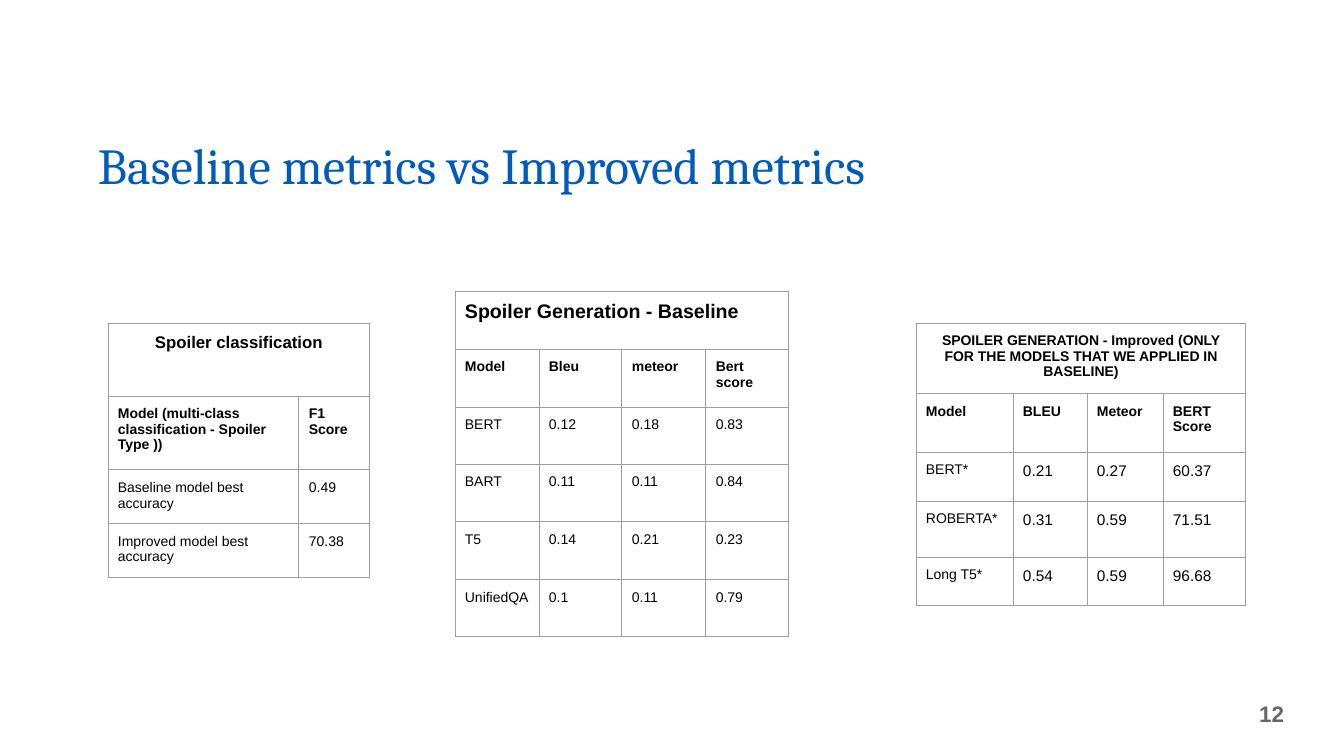
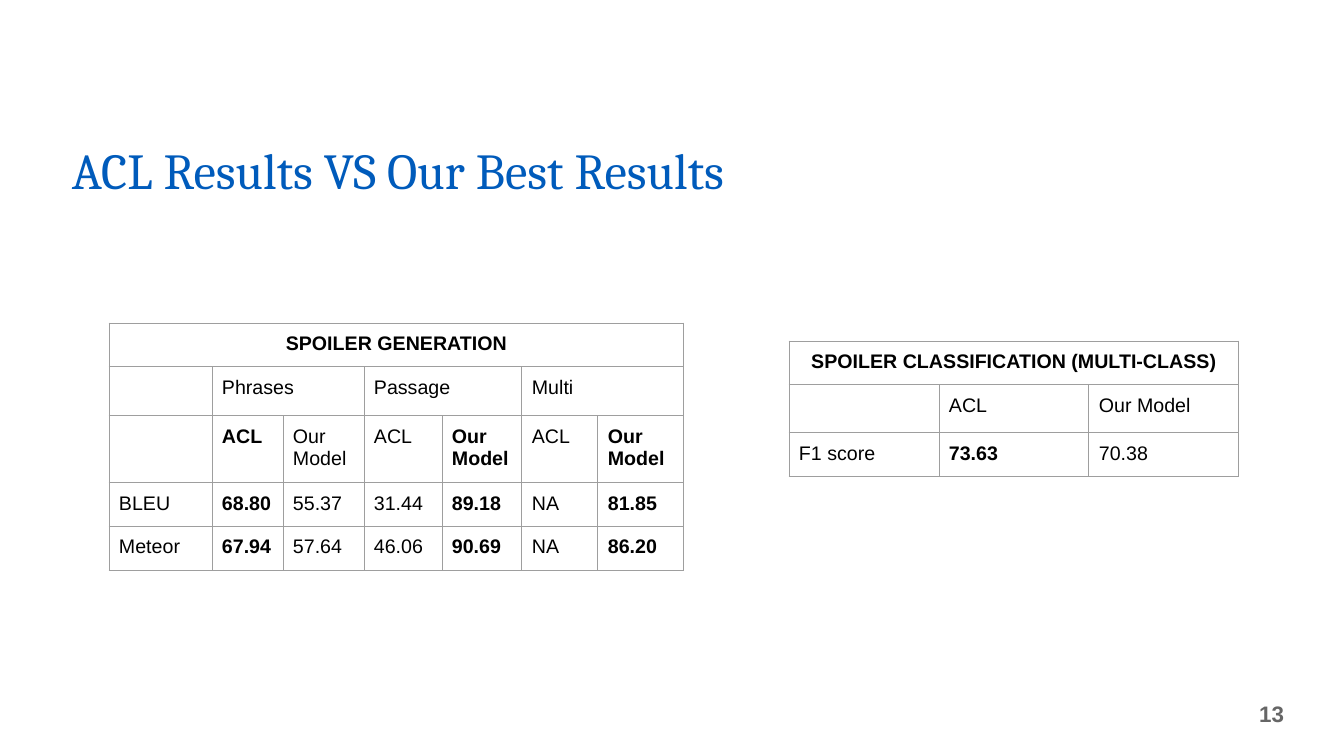
import pptx
import pptx.dml.color
import pptx.enum.text
import pptx.oxml
import pptx.oxml.ns
import pptx.util

BLUE = pptx.dml.color.RGBColor(0x00, 0x5B, 0xBB)
BLACK = pptx.dml.color.RGBColor(0x00, 0x00, 0x00)
GREY = pptx.dml.color.RGBColor(0x66, 0x66, 0x66)
RULE = pptx.dml.color.RGBColor(0x9E, 0x9E, 0x9E)

ALIGN = pptx.enum.text.PP_ALIGN
ANCHOR = pptx.enum.text.MSO_ANCHOR
PAGE_WIDTH, PAGE_HEIGHT = 1344, 756
SCALE = pptx.util.Inches(1) / 100.8


def px(length):
    return pptx.util.Emu(round(length * SCALE))


class Report:
    """Holds the shared style and the current page."""

    title_font, body_font = "Cambria", "Arial"
    cell_margin = 10
    rule_width = pptx.util.Pt(0.75)

    def __init__(self):
        self.deck = pptx.Presentation()
        self.deck.slide_width = px(PAGE_WIDTH)
        self.deck.slide_height = px(PAGE_HEIGHT)
        self.page = None

    def add_page(self, title, left, top, number):
        self.page = self.deck.slides.add_slide(self.deck.slide_layouts[5])
        self.add_title(title, left, top)
        self.add_number(number)

    def set_text(self, frame, text, font, size, color, bold=False, align=ALIGN.LEFT):
        para = frame.paragraphs[0]
        para.text = text
        para.alignment = align
        para.font.name = font
        para.font.size = pptx.util.Pt(size)
        para.font.color.rgb = color
        para.font.bold = bold
        return para

    def set_margins(self, item, across, down):
        item.margin_left = item.margin_right = px(across)
        item.margin_top = item.margin_bottom = px(down)

    def place(self, box, left, top, width, height):
        box.left, box.top = px(left), px(top)
        box.width, box.height = px(width), px(height)

    def add_title(self, text, left, top):
        box = self.page.shapes.title
        self.place(box, left, top, 1159, 79)
        frame = box.text_frame
        frame.word_wrap = True
        frame.auto_size = pptx.enum.text.MSO_AUTO_SIZE.NONE
        frame.vertical_anchor = ANCHOR.TOP
        self.set_margins(frame, 10, 5)
        para = self.set_text(frame, text, self.title_font, 36, BLUE)
        para.line_spacing = 0.8

    def add_number(self, number):
        box = self.page.shapes.add_textbox(px(1218), px(685), px(79), px(58))
        frame = box.text_frame
        frame.word_wrap = True
        frame.vertical_anchor = ANCHOR.MIDDLE
        self.set_margins(frame, 13, 7)
        self.set_text(frame, str(number), self.body_font, 16, GREY, True, ALIGN.RIGHT)

    def add_borders(self, cell):
        properties = cell._tc.get_or_add_tcPr()
        for index, side in enumerate(("lnL", "lnR", "lnT", "lnB")):
            line = pptx.oxml.parse_xml(
                f'<a:{side} {pptx.oxml.ns.nsdecls("a")} w="{self.rule_width}">'
                f'<a:solidFill><a:srgbClr val="{RULE}"/></a:solidFill></a:{side}>')
            properties.insert(index, line)

    def add_table(self, left, top, widths, heights, heading, rows, bold,
                  size=10, value_size=None, heading_size=14,
                  heading_align=ALIGN.CENTER):
        """Draw a heading row over rows; None joins a cell to the one before."""
        grid = [[heading] + [None] * (len(widths) - 1)] + rows
        table = self.page.shapes.add_table(
            len(heights), len(widths), px(left), px(top),
            px(sum(widths)), px(sum(heights))).table
        table.first_row = table.horz_banding = False
        for column, width in zip(table.columns, widths):
            column.width = px(width)
        for line, height in zip(table.rows, heights):
            line.height = px(height)

        for row, texts in enumerate(grid):
            for col, text in enumerate(texts):
                cell = table.cell(row, col)
                cell.fill.background()
                self.set_margins(cell, self.cell_margin, self.cell_margin)
                self.add_borders(cell)
                if text is None:
                    continue
                end = col
                while end + 1 < len(texts) and texts[end + 1] is None:
                    end += 1
                if end > col:
                    cell.merge(table.cell(row, end))
                if row == 0:
                    style = heading_size, BLACK, True, heading_align
                else:
                    is_value = row > 1 and col > 0
                    text_size = value_size if value_size and is_value else size
                    style = text_size, BLACK, bold(row, col)
                self.set_text(cell.text_frame, text, self.body_font, *style)


def is_label_row(row, col):
    return row == 1


def main():
    report = Report()

    # Baseline against improved metrics
    report.add_page("Baseline metrics vs Improved metrics", 88, 141, 12)
    report.add_table(
        916, 323, [97, 74, 76, 83], [67, 59, 49, 56, 48],
        "SPOILER GENERATION - Improved (ONLY FOR THE MODELS THAT WE APPLIED IN BASELINE)",
        [["Model", "BLEU", "Meteor", "BERT Score"],
         ["BERT*", "0.21", "0.27", "60.37"],
         ["ROBERTA*", "0.31", "0.59", "71.51"],
         ["Long T5*", "0.54", "0.59", "96.68"]],
        is_label_row, value_size=11, heading_size=10)
    report.add_table(
        108, 323, [191, 71], [73, 74, 52, 51], "Spoiler classification",
        [["Model (multi-class classification - Spoiler Type ))", "F1 Score"],
         ["Baseline model best accuracy", "0.49"],
         ["Improved model best accuracy", "70.38"]],
        is_label_row, heading_size=12)
    report.add_table(
        455, 291, [84, 83] * 2, [58, 58, 57] * 2, "Spoiler Generation - Baseline",
        [["Model", "Bleu", "meteor", "Bert score"],
         ["BERT", "0.12", "0.18", "0.83"],
         ["BART", "0.11", "0.11", "0.84"],
         ["T5", "0.14", "0.21", "0.23"],
         ["UnifiedQA", "0.1", "0.11", "0.79"]],
        is_label_row, heading_align=ALIGN.LEFT)

    # ACL results against the best results; the winner is bold
    report.add_page("ACL Results VS Our Best Results", 62, 146, 13)
    report.add_table(
        109, 323, [103, 71, 81, 78, 80, 76, 86], [43, 49, 64, 43, 44],
        "SPOILER GENERATION",
        [["", "Phrases", None, "Passage", None, "Multi", None],
         [""] + ["ACL", "Our Model"] * 3,
         ["BLEU", "68.80", "55.37", "31.44", "89.18", "NA", "81.85"],
         ["Meteor", "67.94", "57.64", "46.06", "90.69", "NA", "86.20"]],
        lambda row, col: row > 1 and col in (1, 4, 6), size=14)
    report.add_table(
        789, 341, [150] * 3, [42, 48, 42], "SPOILER CLASSIFICATION (MULTI-CLASS)",
        [["", "ACL", "Our Model"], ["F1 score", "73.63", "70.38"]],
        lambda row, col: (row, col) == (2, 1), size=14)

    report.deck.save("out.pptx")


if __name__ == "__main__":
    main()
